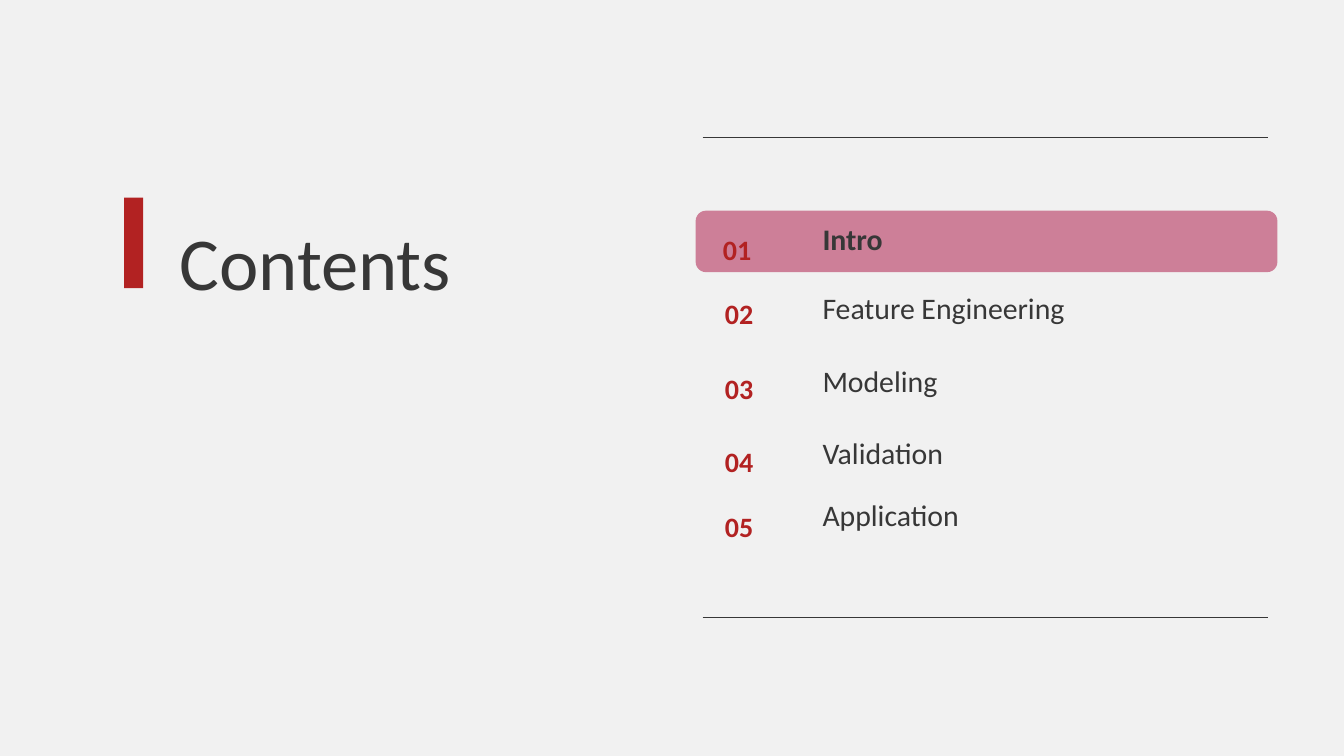
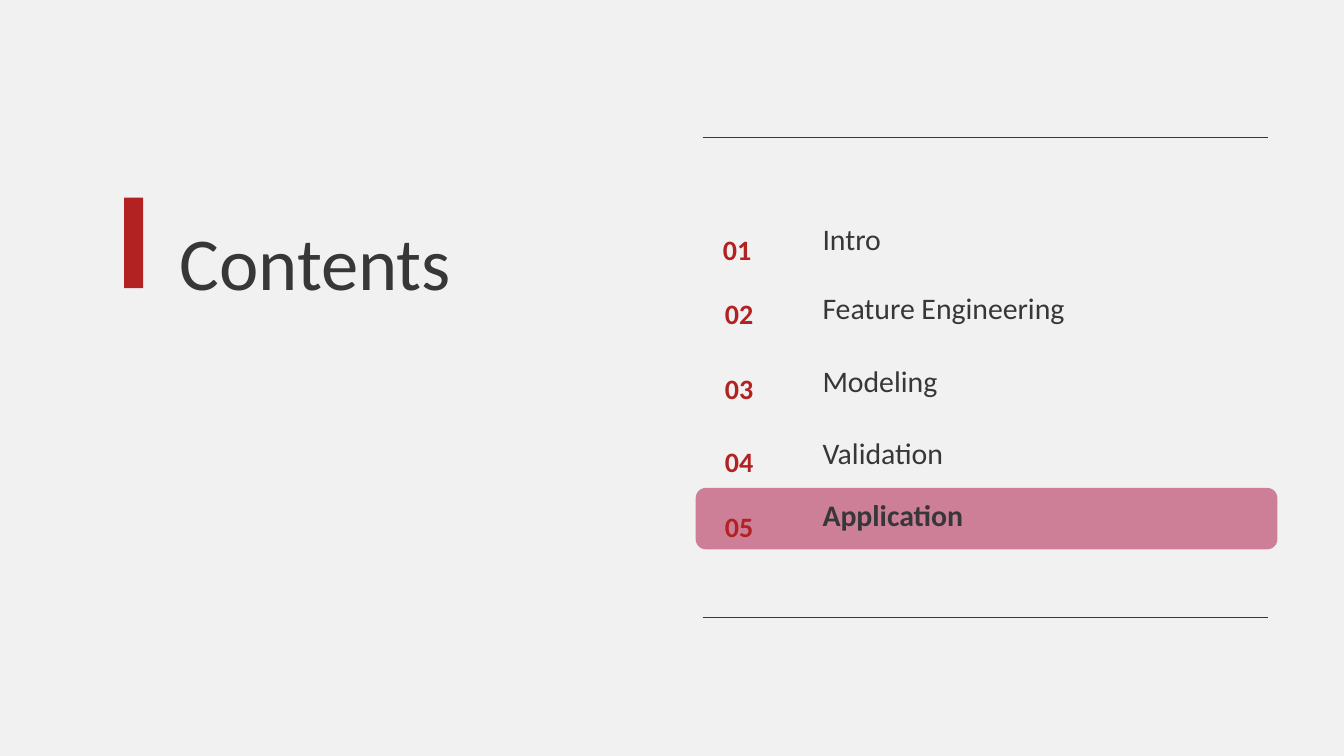
from lxml.etree import SubElement
from pptx import Presentation
from pptx.dml.color import RGBColor
from pptx.enum.shapes import MSO_CONNECTOR, MSO_SHAPE
from pptx.enum.text import MSO_ANCHOR, MSO_AUTO_SIZE, PP_ALIGN
from pptx.oxml.ns import qn
from pptx.util import Inches, Pt

BACKGROUND = RGBColor(0xF1, 0xF1, 0xF1)
DARK = RGBColor(0x37, 0x37, 0x37)
RED = RGBColor(0xB2, 0x22, 0x22)
CRIMSON = RGBColor(0xA5, 0x00, 0x34)
FONT = "Calibri"

# Topic, top of its number in inches, space before the topic in points
TOPICS = [
    ("Intro", 2.24, 0),
    ("Feature Engineering", 2.88, 24),
    ("Modeling", 3.62, 26),
    ("Validation", 4.34, 26),
    ("Application", 4.99, 19),
]
CURRENT_TOPICS = ["Intro", "Application"]


def write_text(shape, paragraphs, size, color=DARK, bold=None, spacing=1.0,
               margins=(0, 0), gaps=None):
    """Fill a shape with paragraphs; bold is the set of paragraphs set in bold."""
    frame = shape.text_frame
    frame.word_wrap = True
    frame.auto_size = MSO_AUTO_SIZE.NONE
    frame.vertical_anchor = MSO_ANCHOR.TOP
    frame.margin_left = frame.margin_right = Inches(margins[0])
    frame.margin_top = frame.margin_bottom = Inches(margins[1])
    frame.text = "\n".join(paragraphs)
    for index, paragraph in enumerate(frame.paragraphs):
        paragraph.alignment = PP_ALIGN.LEFT
        paragraph.line_spacing = spacing
        paragraph.space_before = Pt(gaps[index] if gaps else 0)
        paragraph.font.name = FONT
        paragraph.font.size = Pt(size)
        paragraph.font.color.rgb = color
        paragraph.font.bold = paragraphs[index] in (bold or ())


def add_block(slide, kind, left, top, width, height, color):
    shape = slide.shapes.add_shape(
        kind, Inches(left), Inches(top), Inches(width), Inches(height))
    shape.shadow.inherit = False
    shape.fill.solid()
    shape.fill.fore_color.rgb = color
    shape.line.fill.background()
    return shape


presentation = Presentation()
presentation.slide_width = Inches(13.33)
presentation.slide_height = Inches(7.5)
master_fill = presentation.slide_master.background.fill
master_fill.solid()
master_fill.fore_color.rgb = BACKGROUND
title_only = presentation.slide_layouts[5]

for current in CURRENT_TOPICS:
    slide = presentation.slides.add_slide(title_only)

    title = slide.shapes.title
    title.left, title.top = Inches(1.78), Inches(1.96)
    title.width, title.height = Inches(5.04), Inches(0.9)
    write_text(title, ["Contents"], 53.3, spacing=1.2)
    add_block(slide, MSO_SHAPE.RECTANGLE, 1.23, 1.96, 0.19, 0.9, RED)

    for line_top in (1.36, 6.13):
        rule = slide.shapes.add_connector(
            MSO_CONNECTOR.STRAIGHT, Inches(6.97), Inches(line_top),
            Inches(12.58), Inches(line_top))
        rule.line.color.rgb = DARK
        rule.line.width = Pt(0.75)
        SubElement(rule.element.spPr, qn("a:effectLst"))

    for number, (topic, top, gap) in enumerate(TOPICS, start=1):
        if topic == current:
            highlight = add_block(slide, MSO_SHAPE.ROUNDED_RECTANGLE,
                                  6.9, top - 0.15, 5.77, 0.61, CRIMSON)
            color_element = highlight.element.spPr.find(
                qn("a:solidFill")).find(qn("a:srgbClr"))
            SubElement(color_element, qn("a:alpha"), val="47000")
        label = f"{number:02d}"
        number_box = slide.shapes.add_textbox(
            Inches(7.17 if number == 1 else 7.19), Inches(top), Inches(1.3), Inches(0.34))
        write_text(number_box, [label], 20, color=RED, bold={label}, spacing=1.2)

    topic_box = slide.shapes.add_textbox(
        Inches(8.06), Inches(2.14), Inches(3.83), Inches(3.22))
    write_text(topic_box, [topic for topic, top, gap in TOPICS], 21.3, bold={current},
               margins=(0.1, 0.05), gaps=[gap for topic, top, gap in TOPICS])

presentation.save("out.pptx")
